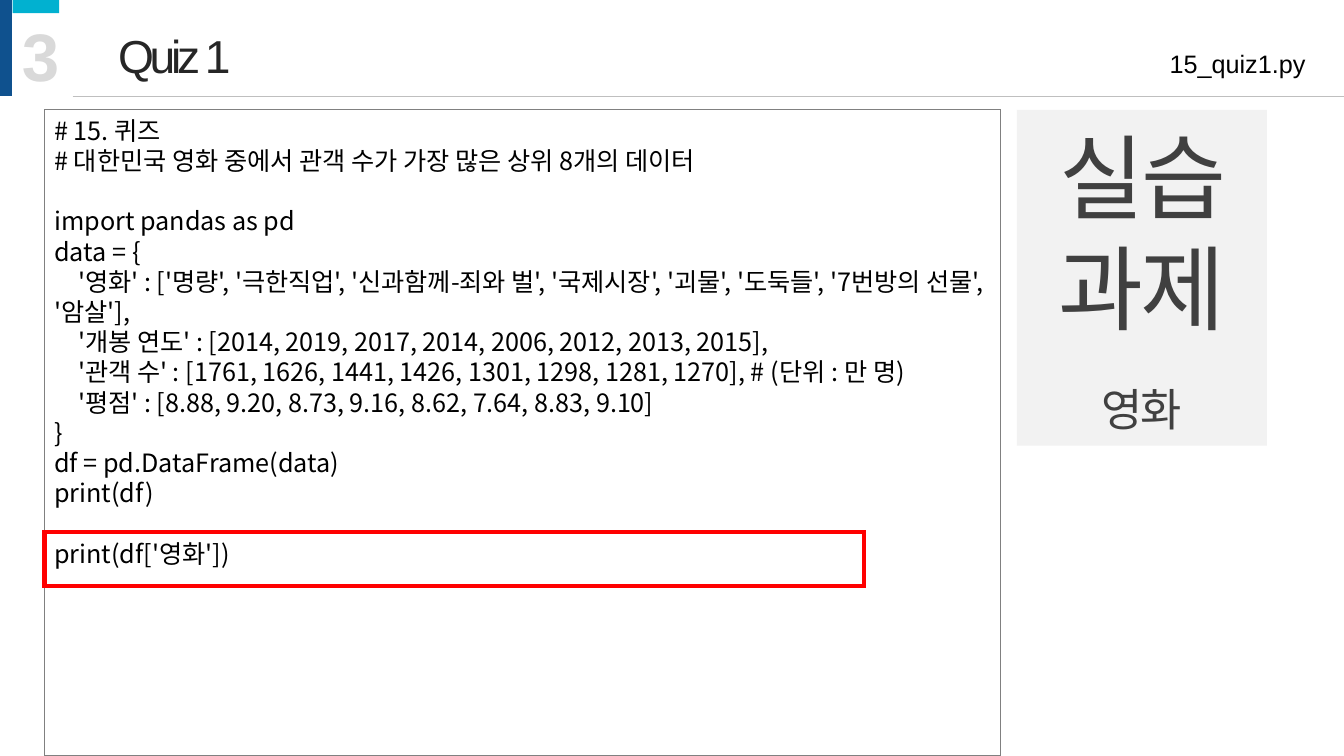
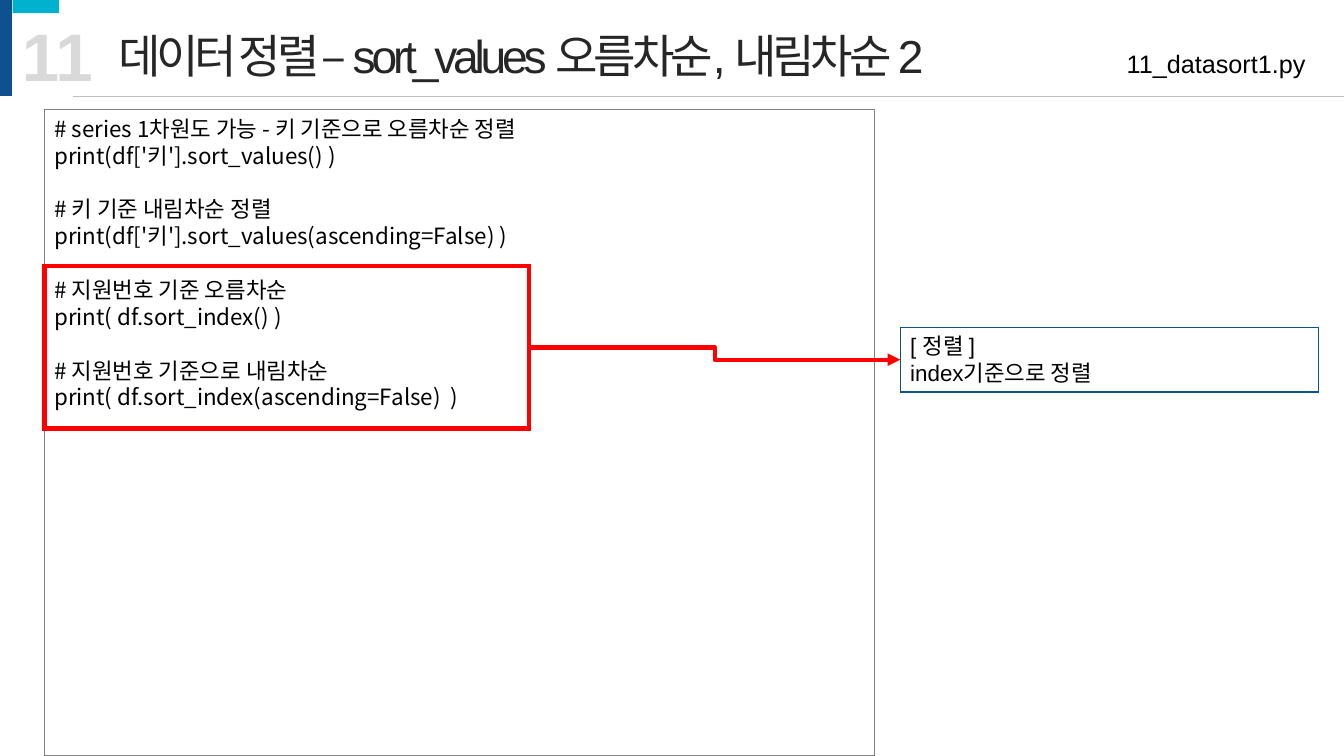
from dataclasses import dataclass
from typing import Optional

from lxml import etree
from pptx import Presentation
from pptx.dml.color import RGBColor
from pptx.enum.shapes import MSO_CONNECTOR, MSO_SHAPE
from pptx.enum.text import MSO_ANCHOR, MSO_AUTO_SIZE, PP_ALIGN
from pptx.oxml.ns import qn
from pptx.util import Cm, Pt

NAVY = RGBColor(0x0F, 0x51, 0x8E)
CYAN = RGBColor(0x01, 0xB1, 0xD0)
RED = RGBColor(0xFF, 0x00, 0x00)
BLACK = RGBColor(0x00, 0x00, 0x00)
TITLE_GRAY = RGBColor(0x26, 0x26, 0x26)
TASK_GRAY = RGBColor(0x40, 0x40, 0x40)
FRAME_GRAY = RGBColor(0x80, 0x80, 0x80)
RULE_GRAY = RGBColor(0xBF, 0xBF, 0xBF)
NUMBER_GRAY = RGBColor(0xD9, 0xD9, 0xD9)
PANEL_GRAY = RGBColor(0xF2, 0xF2, 0xF2)

RECTANGLE = MSO_SHAPE.RECTANGLE
STRAIGHT, ELBOW = MSO_CONNECTOR.STRAIGHT, MSO_CONNECTOR.ELBOW
LEFT, CENTER, RIGHT = PP_ALIGN.LEFT, PP_ALIGN.CENTER, PP_ALIGN.RIGHT
TOP, MIDDLE = MSO_ANCHOR.TOP, MSO_ANCHOR.MIDDLE
NO_AUTOFIT = MSO_AUTO_SIZE.NONE

PAGE_WIDTH, PAGE_HEIGHT = 33.87, 19.05
HEADER_BOTTOM = 2.42
CODE_LEFT, CODE_TOP = 1.12, 2.77
CODE_INDENT = Cm(0.6)
LINE_HEIGHT = 1.2
LEFT_SIDE, RIGHT_SIDE = 1, 3  # connection sites of a rectangle


@dataclass(frozen=True)
class Area:
    """A rectangle on the page, in centimetres."""
    left: float
    top: float
    width: float
    height: float

    def lengths(self) -> tuple:
        return Cm(self.left), Cm(self.top), Cm(self.width), Cm(self.height)


@dataclass(frozen=True)
class TextStyle:
    size: float
    color: RGBColor = BLACK
    font: str = "Arial"
    bold: bool = False
    spacing: float = 0
    align: PP_ALIGN = LEFT


@dataclass(frozen=True)
class Lesson:
    number: str
    title: str
    file_name: str
    code: list
    code_size: float
    code_width: float
    highlight: Area


TITLE_STYLE = TextStyle(33, TITLE_GRAY, spacing=-3)
NUMBER_STYLE = TextStyle(48, NUMBER_GRAY, bold=True)
FILE_STYLE = TextStyle(18, align=RIGHT)
TASK_STYLE = TextStyle(66, TASK_GRAY, spacing=-1.5, align=CENTER)
TOPIC_STYLE = TextStyle(32, TASK_GRAY, spacing=-1.5, align=CENTER)
NOTE_STYLE = TextStyle(16)

# Code is a list of blocks; a gap of one line separates the blocks.
QUIZ = Lesson(
    "3", "Quiz 1", "15_quiz1.py",
    [
        ["# 15. 퀴즈",
         "# 대한민국 영화 중에서 관객 수가 가장 많은 상위 8개의 데이터"],
        ["import pandas as pd",
         "data = {",
         "\t'영화' : ['명량', '극한직업', '신과함께-죄와 벌', '국제시장', '괴물', "
         "'도둑들', '7번방의 선물', '암살'],",
         "\t'개봉 연도' : [2014, 2019, 2017, 2014, 2006, 2012, 2013, 2015],",
         "\t'관객 수' : [1761, 1626, 1441, 1426, 1301, 1298, 1281, 1270], "
         "# (단위 : 만 명)",
         "\t'평점' : [8.88, 9.20, 8.73, 9.16, 8.62, 7.64, 8.83, 9.10]",
         "}",
         "df = pd.DataFrame(data)",
         "print(df)"],
        ["print(df['영화'])"],
    ],
    18, 24.1, Area(CODE_LEFT, 13.41, 20.65, 1.35))

SORTING = Lesson(
    "11", "데이터 정렬 – sort_values 오름차순, 내림차순 2", "11_datasort1.py",
    [
        ["# series 1차원도 가능 - 키 기준으로 오름차순 정렬",
         "print(df['키'].sort_values() )"],
        ["# 키 기준 내림차순 정렬",
         "print(df['키'].sort_values(ascending=False) )"],
        ["# 지원번호 기준 오름차순",
         "print( df.sort_index() )"],
        ["# 지원번호 기준으로 내림차순",
         "print( df.sort_index(ascending=False)  )"],
    ],
    16, 20.93, Area(CODE_LEFT, 6.71, 12.22, 4.09))


def write_para(para, text: str, style: TextStyle) -> None:
    para.text = text
    para.alignment = style.align
    for span in para.runs:
        font = span.font
        font.size, font.bold, font.name = Pt(style.size), style.bold, style.font
        font.color.rgb = style.color
        properties = span._r.get_or_add_rPr()
        if style.spacing:
            properties.set("spc", str(int(style.spacing * 100)))
        east_asian = etree.SubElement(properties, qn("a:ea"))
        east_asian.set("typeface", "Noto Sans CJK KR")


def next_para(frame, index: int):
    return frame.paragraphs[0] if index == 0 else frame.add_paragraph()


def add_box(page, area: Area, fill: Optional[RGBColor] = None,
            line: Optional[RGBColor] = None, line_width: float = 0.75,
            anchor: MSO_ANCHOR = TOP):
    box = page.shapes.add_shape(RECTANGLE, *area.lengths())
    box.shadow.inherit = False
    if fill is None:
        box.fill.background()
    else:
        box.fill.solid()
        box.fill.fore_color.rgb = fill
    if line is None:
        box.line.fill.background()
    else:
        box.line.color.rgb = line
        box.line.width = Pt(line_width)
        corner = etree.SubElement(box.line._get_or_add_ln(), qn("a:miter"))
        corner.set("lim", "800000")
    box.text_frame.word_wrap = True
    box.text_frame.vertical_anchor = anchor
    return box


def add_label(page, area: Area, text: str, style: TextStyle) -> None:
    frame = page.shapes.add_textbox(*area.lengths()).text_frame
    frame.word_wrap = True
    write_para(frame.paragraphs[0], text, style)


def add_line(page, kind: MSO_CONNECTOR, start: tuple, end: tuple,
             color: RGBColor, width: float):
    line = page.shapes.add_connector(
        kind, *(Cm(value) for value in (*start, *end)))
    line.line.color.rgb = color
    line.line.width = Pt(width)
    etree.SubElement(line._element.spPr, qn("a:effectLst"))
    return line


def add_header(page, lesson: Lesson) -> None:
    add_box(page, Area(0, 0, 0.3, HEADER_BOTTOM), fill=NAVY)
    add_box(page, Area(0.32, 0, 1.17, 0.33), fill=CYAN)
    add_line(page, STRAIGHT, (1.83, HEADER_BOTTOM),
             (PAGE_WIDTH, HEADER_BOTTOM), RULE_GRAY, 0.5)
    add_label(page, Area(0.3, 0.23, 2.6, 2.31), lesson.number, NUMBER_STYLE)
    add_label(page, Area(22.69, 1.09, 10.46, 1.02), lesson.file_name, FILE_STYLE)
    title = page.shapes.title
    title.left, title.top, title.width, title.height = Area(
        2.72, 0.56, 25.63, 1.7).lengths()
    frame = title.text_frame
    frame.auto_size = NO_AUTOFIT
    frame.vertical_anchor = TOP
    write_para(frame.paragraphs[0], lesson.title, TITLE_STYLE)


def add_code(page, lesson: Lesson) -> None:
    """Draw the code frame; a leading tab becomes a first-line indent."""
    area = Area(CODE_LEFT, CODE_TOP, lesson.code_width, PAGE_HEIGHT - CODE_TOP)
    frame = add_box(page, area, line=FRAME_GRAY).text_frame
    style = TextStyle(lesson.code_size, font="Noto Sans CJK KR")
    line_height = Pt(lesson.code_size * LINE_HEIGHT)
    count = 0
    for block in lesson.code:
        for position, text in enumerate(block):
            para = next_para(frame, count)
            write_para(para, text.lstrip("\t"), style)
            para.line_spacing = line_height
            if position == 0 and count:
                para.space_before = line_height
            if text.startswith("\t"):
                para._p.get_or_add_pPr().set("indent", str(CODE_INDENT))
            count += 1


def add_lesson(deck, lesson: Lesson) -> tuple:
    """Add a page and return it with its red highlight frame."""
    page = deck.slides.add_slide(deck.slide_layouts[5])
    add_header(page, lesson)
    add_code(page, lesson)
    return page, add_box(page, lesson.highlight, line=RED, line_width=3)


def add_task_panel(page) -> None:
    panel = add_box(page, Area(25.63, CODE_TOP, 6.3, 8.46),
                    fill=PANEL_GRAY, anchor=MIDDLE)
    frame = panel.text_frame
    write_para(frame.paragraphs[0], "실습과제", TASK_STYLE)
    topic = frame.add_paragraph()
    write_para(topic, "영화", TOPIC_STYLE)
    topic.space_before = Pt(28)


def add_note(page, highlight) -> None:
    """Add the explanation and the arrow that leads to it."""
    note = add_box(page, Area(22.69, 8.25, 10.54, 1.63), line=NAVY)
    for index, text in enumerate(["[ 정렬 ]", "index기준으로 정렬"]):
        write_para(next_para(note.text_frame, index), text, NOTE_STYLE)
    arrow = add_line(page, ELBOW, (13.34, 8.75), (22.69, 9.07), RED, 3)
    arrow.begin_connect(highlight, RIGHT_SIDE)
    arrow.end_connect(note, LEFT_SIDE)
    head = etree.SubElement(arrow.line._get_or_add_ln(), qn("a:tailEnd"))
    head.set("type", "triangle")


def main() -> None:
    deck = Presentation()
    deck.slide_width, deck.slide_height = Cm(PAGE_WIDTH), Cm(PAGE_HEIGHT)
    quiz_page, _ = add_lesson(deck, QUIZ)
    add_task_panel(quiz_page)
    sorting_page, highlight = add_lesson(deck, SORTING)
    add_note(sorting_page, highlight)
    deck.save("out.pptx")


if __name__ == "__main__":
    main()
